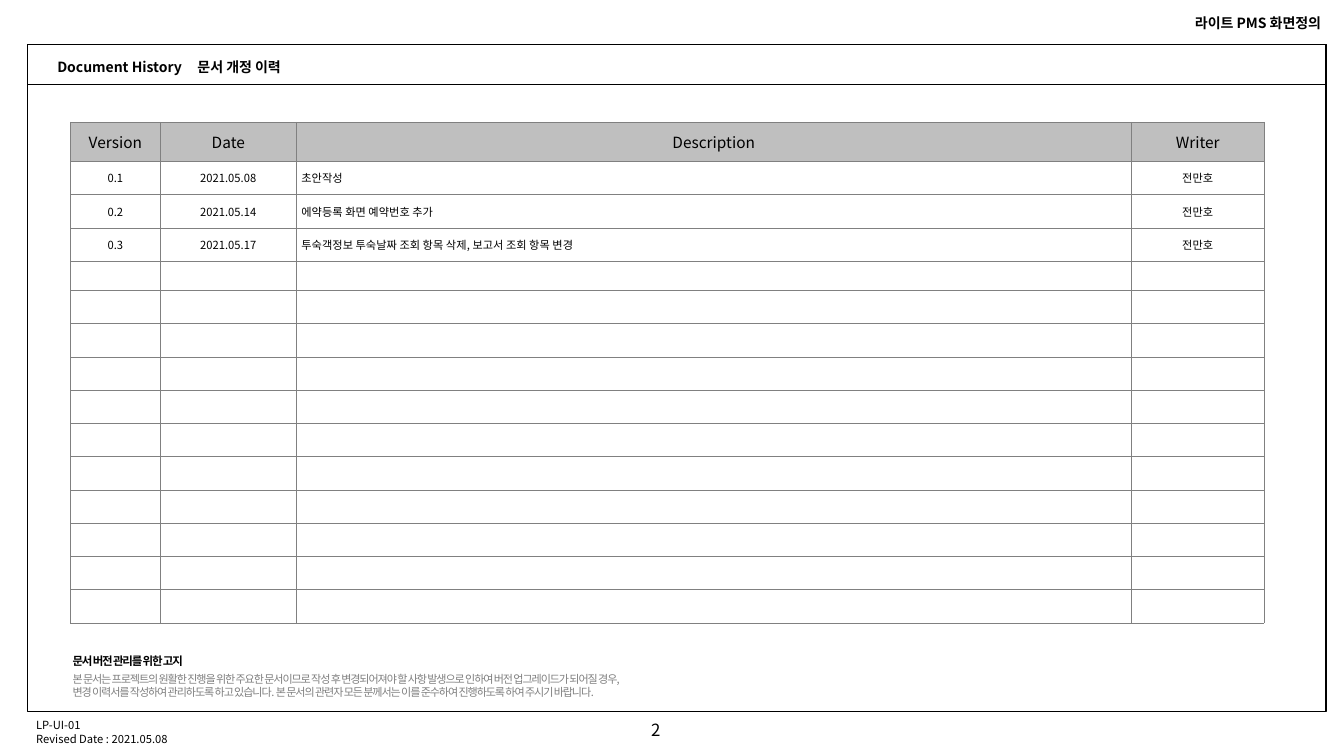
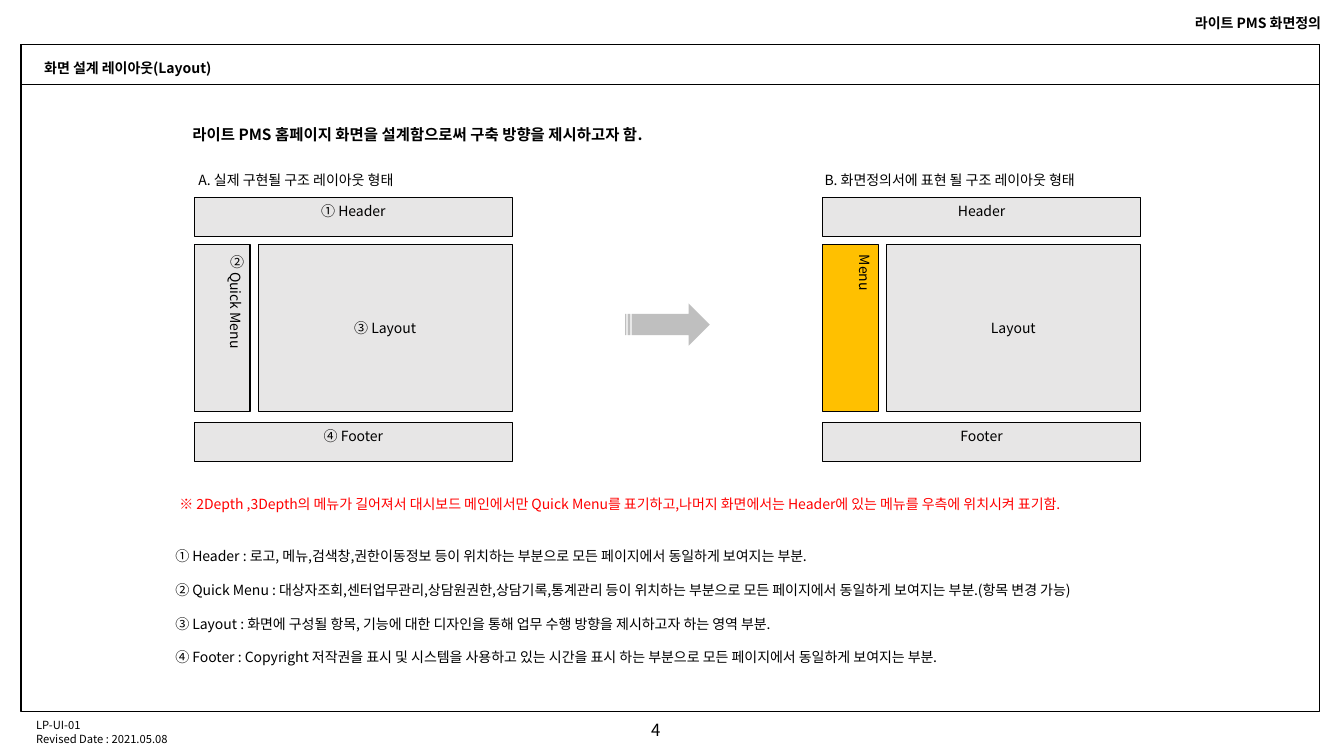
from lxml import etree
from pptx import Presentation
from pptx.dml.color import RGBColor
from pptx.enum.shapes import MSO_SHAPE
from pptx.enum.text import MSO_ANCHOR, PP_ALIGN
from pptx.oxml.ns import qn
from pptx.util import Inches, Pt

FONT = "Noto Sans CJK KR"
BLACK = RGBColor(0x00, 0x00, 0x00)
GRAY = RGBColor(0x80, 0x80, 0x80)
SILVER = RGBColor(0xBF, 0xBF, 0xBF)
PANEL = RGBColor(0xE7, 0xE6, 0xE6)
AMBER = RGBColor(0xFF, 0xC0, 0x00)
RED = RGBColor(0xFF, 0x00, 0x00)

# Content shared by the slides
DOCUMENT_NAME = "라이트 PMS 화면정의"
DOCUMENT_INFO = ["LP-UI-01", "Revised Date : 2021.05.08"]

# Content of the history slide
HISTORY_TITLE = "Document History\t문서 개정 이력"
COLUMNS = [("Version", 0.89), ("Date", 1.35), ("Description", 8.28), ("Writer", 1.32)]
REVISIONS = [
    ("0.1", "2021.05.08", "초안작성", "전만호"),
    ("0.2", "2021.05.14", "에약등록 화면 예약번호 추가", "전만호"),
    ("0.3", "2021.05.17", "투숙객정보 투숙날짜 조회 항목 삭제, 보고서 조회 항목 변경", "전만호"),
]
EMPTY_ROWS = 11
HEADER_HEIGHT, ROW_HEIGHT, SHORT_HEIGHT = 0.39, 0.33, 0.29
NOTICE_TITLE = "문서 버전 관리를 위한 고지"
NOTICE = [
    "본 문서는 프로젝트의 원활한 진행을 위한 주요한 문서이므로 작성 후 변경되어져야 할 사항 발생으로 인하여 버전 업그레이드가 되어질 경우,",
    "변경 이력서를 작성하여 관리하도록 하고 있습니다. 본 문서의 관련자 모든 분께서는 이를 준수하여 진행하도록 하여 주시기 바랍니다.",
]

# Content of the layout slide
LAYOUT_TITLE = "화면 설계 레이아웃(Layout)"
PURPOSE = "라이트 PMS 홈페이지 화면을 설계함으로써 구축 방향을 제시하고자 함."
WIREFRAMES = [
    dict(left=1.93, caption_left=1.87, caption="A. 실제 구현될 구조 레이아웃 형태", menu_fill=PANEL,
         header="① Header", menu="② Quick Menu", body="③ Layout", footer="④ Footer"),
    dict(left=8.16, caption_left=8.08, caption="B. 화면정의서에 표현 될 구조 레이아웃 형태", menu_fill=AMBER,
         header="Header", menu="Menu", body="Layout", footer="Footer"),
]
MENU_NOTE = ("※ 2Depth ,3Depth의 메뉴가 길어져서 대시보드 메인에서만 Quick Menu를 표기하고,"
             "나머지 화면에서는 Header에 있는 메뉴를 우측에 위치시켜 표기함.")
PARTS = [
    "① Header : 로고, 메뉴,검색창,권한이동정보 등이 위치하는 부분으로 모든 페이지에서 동일하게 보여지는 부분.",
    "② Quick Menu : 대상자조회,센터업무관리,상담원권한,상담기록,통계관리 등이 위치하는 부분으로 "
    "모든 페이지에서 동일하게 보여지는 부분.(항목 변경 가능)",
    "③ Layout : 화면에 구성될 항목, 기능에 대한 디자인을 통해 업무 수행 방향을 제시하고자 하는 영역 부분.",
    "④ Footer : Copyright 저작권을 표시 및 시스템을 사용하고 있는 시간을 표시 하는 부분으로 "
    "모든 페이지에서 동일하게 보여지는 부분.",
]


def style(paragraph, size, color=BLACK, bold=False, align=PP_ALIGN.LEFT, spacing=None):
    paragraph.alignment = align
    font = paragraph.font
    font.size, font.bold, font.name = Pt(size), bold, FONT
    font.color.rgb = color
    properties = paragraph._p.pPr.find(qn("a:defRPr"))
    etree.SubElement(properties, qn("a:ea"), typeface=FONT)
    if spacing is not None:
        properties.set("spc", str(spacing))


def write(frame, lines, size, **look):
    frame.word_wrap = True
    frame.text = "\n".join(lines)
    for paragraph in frame.paragraphs:
        style(paragraph, size, **look)


def add_text(slide, box, lines, size, **look):
    frame = slide.shapes.add_textbox(*map(Inches, box)).text_frame
    write(frame, lines, size, **look)
    return frame


def add_box(slide, box, fill=None, line=None, kind=MSO_SHAPE.RECTANGLE):
    shape = slide.shapes.add_shape(kind, *map(Inches, box))
    shape.shadow.inherit = False
    if fill is None:
        shape.fill.background()
    else:
        shape.fill.solid()
        shape.fill.fore_color.rgb = fill
    if line is None:
        shape.line.fill.background()
    else:
        shape.line.color.rgb = BLACK
        shape.line.width = Pt(line)
    return shape


def add_page(deck, number, frame_left, title, title_at):
    """Add a slide with the shared header, frame, title and footer."""
    slide = deck.slides.add_slide(deck.slide_layouts[6])
    add_text(slide, (10.75, 0.09, 2.45, 0.27), [DOCUMENT_NAME], 10, bold=True, align=PP_ALIGN.RIGHT)
    add_text(slide, (0.26, 7.08, 1.8, 0.37), DOCUMENT_INFO, 8)
    for height in (6.62, 0.4):
        add_box(slide, (frame_left, 0.44, 12.88, height), line=1)
    heading = add_text(slide, (*title_at, 4.33, 0.27), [title], 10, bold=True)
    add_text(slide, (6.36, 7.09, 0.5, 0.4), [str(number)], 12)
    return slide, heading


def set_borders(cell):
    properties = cell._tc.get_or_add_tcPr()
    for index, side in enumerate(("lnL", "lnR", "lnT", "lnB")):
        border = etree.Element(qn(f"a:{side}"), w=str(Pt(0.25)))
        fill = etree.SubElement(border, qn("a:solidFill"))
        etree.SubElement(fill, qn("a:srgbClr"), val=str(GRAY))
        properties.insert(index, border)


def add_history_table(slide):
    names, widths = zip(*COLUMNS)
    rows = [names, *REVISIONS, *[("",) * len(names)] * EMPTY_ROWS]
    heights = [ROW_HEIGHT] * len(rows)
    heights[0] = HEADER_HEIGHT
    heights[len(REVISIONS) + 1] = SHORT_HEIGHT
    box = (0.7, 1.21, sum(widths), sum(heights))
    table = slide.shapes.add_table(len(rows), len(names), *map(Inches, box)).table
    table.first_row = table.horz_banding = False
    for column, width in zip(table.columns, widths):
        column.width = Inches(width)
    for r, values in enumerate(rows):
        table.rows[r].height = Inches(heights[r])
        for c, value in enumerate(values):
            cell = table.cell(r, c)
            cell.margin_left = cell.margin_right = Inches(0.05)
            cell.margin_top = cell.margin_bottom = Inches(0.02)
            cell.vertical_anchor = MSO_ANCHOR.MIDDLE
            is_description = r > 0 and names[c] == "Description"
            write(cell.text_frame, [value], 8 if r else 11,
                  align=PP_ALIGN.LEFT if is_description else PP_ALIGN.CENTER)
            if r:
                cell.fill.background()
            else:
                cell.fill.solid()
                cell.fill.fore_color.rgb = SILVER
            if not value:
                end = etree.SubElement(cell.text_frame.paragraphs[0]._p, qn("a:endParaRPr"))
                end.set("sz", "800")
            set_borders(cell)


def build_history(deck):
    slide, heading = add_page(deck, 2, 0.27, HISTORY_TITLE, (0.47, 0.53))
    # Tab stop between the two halves of the title
    properties = heading.paragraphs[0]._p.pPr
    stops = etree.Element(qn("a:tabLst"))
    etree.SubElement(stops, qn("a:tab"), pos=str(Inches(1.39)), algn="l")
    properties.find(qn("a:defRPr")).addprevious(stops)

    add_history_table(slide)

    # Notice under the table
    notice = add_text(slide, (0.72, 6.48, 6.76, 0.46), [NOTICE_TITLE, *NOTICE], 7.9, color=GRAY, spacing=-80)
    notice.margin_left = notice.margin_right = notice.margin_top = notice.margin_bottom = 0
    notice.vertical_anchor = MSO_ANCHOR.MIDDLE
    first = notice.paragraphs[0]
    first.font.size, first.font.bold = Pt(8.2), True
    first.font.color.rgb = BLACK
    first.space_after = Pt(3)


def add_wireframe(slide, left, caption_left, caption, menu_fill, header, menu, body, footer):
    width, menu_width, gap, bar = 3.15, 0.55, 0.08, 0.39
    middle_top, middle_height = 2.43, 1.65
    body_left = left + menu_width + gap
    body_width = width - menu_width - gap
    add_text(slide, (caption_left, 1.65, 2.98, 0.27), [caption], 10)
    blocks = [
        (header, (left, 1.96, width, bar), PANEL),
        (menu, (left, middle_top, menu_width, middle_height), menu_fill),
        (footer, (left, 4.19, width, bar), PANEL),
        (body, (body_left, middle_top, body_width, middle_height), PANEL),
    ]
    for label, box, fill in blocks:
        frame = add_box(slide, box, fill, line=0.75).text_frame
        write(frame, [label], 10, align=PP_ALIGN.CENTER)
        frame.vertical_anchor = MSO_ANCHOR.MIDDLE if label == body else MSO_ANCHOR.TOP
        if label == menu:
            frame._txBody.bodyPr.set("vert", "eaVert")


def build_layout(deck):
    slide, _ = add_page(deck, 4, 0.21, LAYOUT_TITLE, (0.34, 0.54))
    add_text(slide, (1.81, 1.19, 7.96, 0.29), [PURPOSE], 11, bold=True)
    for wireframe in WIREFRAMES:
        add_wireframe(slide, **wireframe)
    add_box(slide, (6.2, 3.01, 0.84, 0.42), SILVER, kind=MSO_SHAPE.STRIPED_RIGHT_ARROW)

    # Explanations
    add_text(slide, (1.68, 4.87, 9.84, 0.27), [MENU_NOTE], 10, color=RED)
    explanation = add_text(slide, (1.64, 5.22, 9.96, 1.45), PARTS, 10)
    for paragraph in explanation.paragraphs:
        paragraph.line_spacing = 2.0


def main():
    deck = Presentation()
    deck.slide_width, deck.slide_height = Inches(13.33), Inches(7.5)
    build_history(deck)
    build_layout(deck)
    deck.save("out.pptx")


if __name__ == "__main__":
    main()
